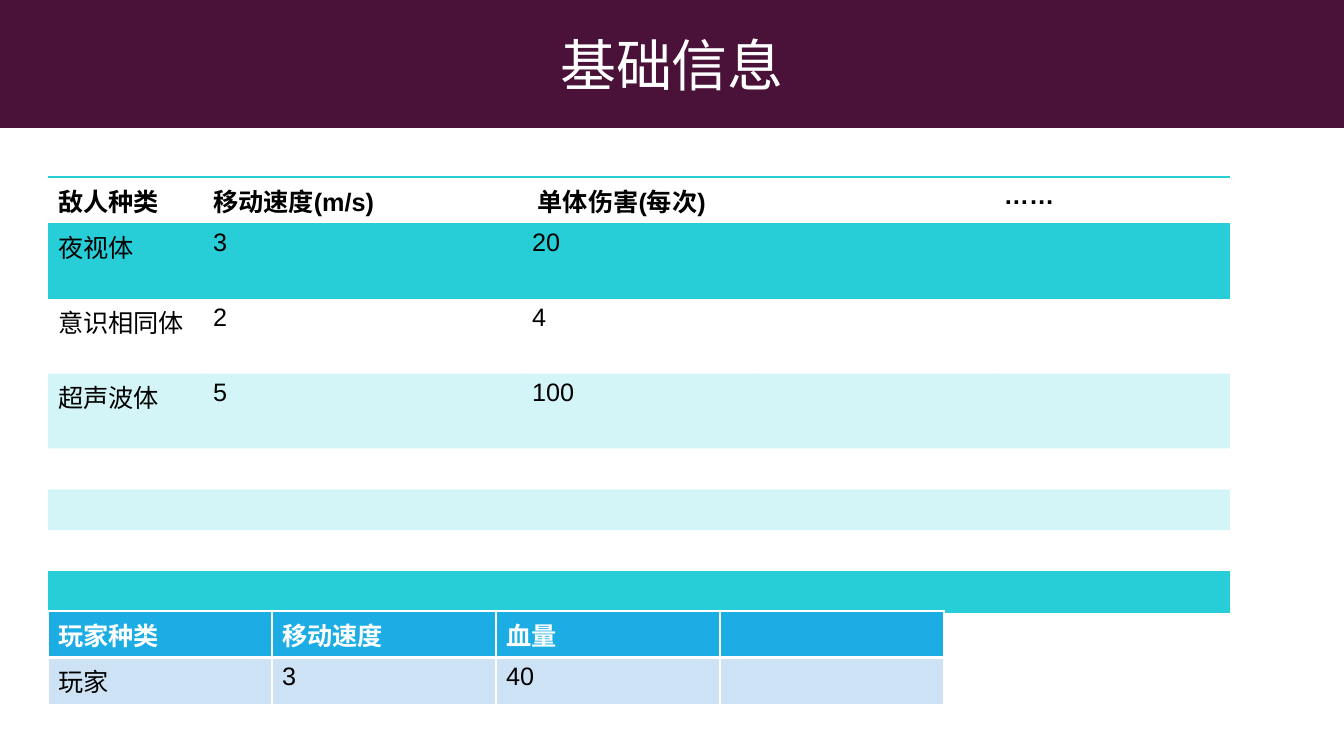
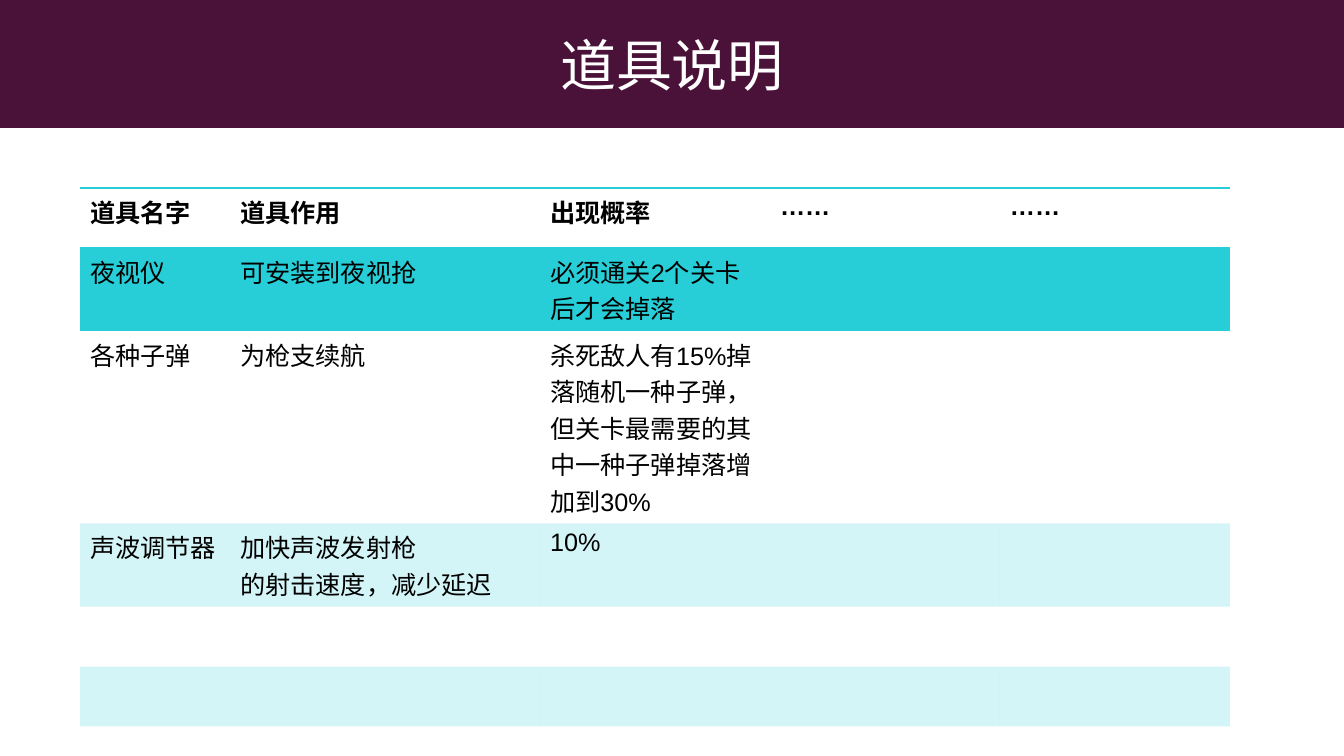
from lxml import etree
from pptx import Presentation
from pptx import util as u
from pptx.dml.color import RGBColor
from pptx.enum import shapes, text
from pptx.oxml import ns

FONT = "Arial"
PLUM, WHITE, BLACK = "4A1239", "FFFFFF", "000000"
TEAL, BLUE, PALE_BLUE = "27CED7", "1CADE4", "CDE3F5"
BAND_OPACITY = 20
SLIDE_W, SLIDE_H, TITLE_H = 1344, 756, 128
NO_STYLE = "{2D5ABB26-0587-4C30-8999-92F81FD0307C}"

SLIDES = [
    {"title": "基础信息", "tables": [
        {"look": "banded", "at": (48, 177),
         "cols": [155, 319, 236, 236, 236],
         "rows": [46, 75, 75, 75, 38, 38, 38, 38],
         "cells": [
             ["敌人种类", "移动速度(m/s)", " 单体伤害(每次)", "", "……"],
             ["夜视体", "3", "20"],
             ["意识相同体", "2", "4"],
             ["超声波体", "5", "100"]]},
        {"look": "grid", "at": (48, 611),
         "cols": [224] * 4,
         "rows": [46, 46],
         "cells": [
             ["玩家种类", "移动速度", "血量"],
             ["玩家", "3", "40"]]},
    ]},
    {"title": "道具说明", "tables": [
        {"look": "banded", "at": (80, 188),
         "cols": [150, 310, 230, 230, 230],
         "rows": [60, 83, 192, 83, 60, 60, 60, 60],
         "cells": [
             ["道具名字", "道具作用", "出现概率", "……", "……"],
             ["夜视仪", "可安装到夜视抢", "必须通关2个关卡后才会掉落"],
             ["各种子弹", "为枪支续航",
              "杀死敌人有15%掉落随机一种子弹，但关卡最需要的其中一种子弹掉落增加到30%"],
             ["声波调节器", "加快声波发射枪\n的射击速度，减少延迟", "10%"]]},
    ]},
]


def px(n):
    return u.Emu(round(n * 914400 / 100.8))


def rgb(color):
    return RGBColor.from_string(color)


def add_run(p, words, size, color, bold=False):
    r = p.add_run()
    r.text = words
    r.font.name, r.font.size, r.font.bold = FONT, u.Pt(size), bold
    r.font.color.rgb = rgb(color)


def add_title(s, words):
    sp = s.shapes.add_shape(shapes.MSO_SHAPE.RECTANGLE, 0, 0, px(SLIDE_W), px(TITLE_H))
    sp.shadow.inherit = False
    sp.fill.solid()
    sp.fill.fore_color.rgb = rgb(PLUM)
    sp.line.fill.background()
    tf = sp.text_frame
    tf.vertical_anchor = text.MSO_ANCHOR.MIDDLE
    p = tf.paragraphs[0]
    p.alignment = text.PP_ALIGN.CENTER
    add_run(p, words, 40, WHITE)


def set_borders(cell, borders):
    """Draw cell borders; borders maps a side (L, R, T, B) to (colour, points)."""
    tc_pr = cell._tc.get_or_add_tcPr()
    for side in "LRTB":
        ln = etree.SubElement(tc_pr, ns.qn(f"a:ln{side}"))
        if side not in borders:
            ln.set("w", "0")
            etree.SubElement(ln, ns.qn("a:noFill"))
            continue
        color, points = borders[side]
        ln.set("w", str(u.Pt(points)))
        solid = etree.SubElement(ln, ns.qn("a:solidFill"))
        etree.SubElement(solid, ns.qn("a:srgbClr"), val=color)


def set_fill(cell, color, opacity=100):
    if color is None:
        cell.fill.background()
        return
    cell.fill.solid()
    cell.fill.fore_color.rgb = rgb(color)
    if opacity < 100:
        clr = cell._tc.tcPr.find(".//" + ns.qn("a:srgbClr"))
        etree.SubElement(clr, ns.qn("a:alpha"), val=str(opacity * 1000))


def banded_look(row, last):
    """Return borders, fill colour, fill opacity and text colour of a row."""
    borders = {}
    if row == 0:
        borders["T"] = (TEAL, 1)
    if row in (0, last):
        borders["B"] = (TEAL, 1)
    if row == 1:
        borders["T"] = (TEAL, 1)
    return borders, TEAL if row % 2 else None, BAND_OPACITY, BLACK


def grid_look(row, last):
    """Return borders, fill colour, fill opacity and text colour of a row."""
    borders = {side: (WHITE, 1) for side in "LRTB"}
    if row == 0:
        borders["B"] = (WHITE, 3)
        return borders, BLUE, 100, WHITE
    if row == 1:
        borders["T"] = (WHITE, 3)
    return borders, PALE_BLUE, 100, BLACK


LOOKS = {"banded": banded_look, "grid": grid_look}


def add_data_table(s, spec_table):
    cols, rows, cells = (spec_table[key] for key in ("cols", "rows", "cells"))
    left, top = spec_table["at"]
    table = s.shapes.add_table(len(rows), len(cols), px(left), px(top),
                               px(sum(cols)), px(sum(rows))).table
    table._tbl.tblPr.find(ns.qn("a:tableStyleId")).text = NO_STYLE
    for column, width in zip(table.columns, cols):
        column.width = px(width)
    for i, height in enumerate(rows):
        table.rows[i].height = px(height)
        borders, fill, opacity, color = LOOKS[spec_table["look"]](i, len(rows) - 1)
        for j in range(len(cols)):
            cell = table.cell(i, j)
            set_borders(cell, borders)
            set_fill(cell, fill, opacity)
            words = cells[i][j] if i < len(cells) and j < len(cells[i]) else ""
            tf = cell.text_frame
            for k, line in enumerate(words.split("\n")):
                p = tf.add_paragraph() if k else tf.paragraphs[0]
                if line:
                    add_run(p, line, 18, color, bold=i == 0)


def main():
    prs = Presentation()
    prs.slide_width, prs.slide_height = px(SLIDE_W), px(SLIDE_H)
    for content in SLIDES:
        s = prs.slides.add_slide(prs.slide_layouts[6])
        add_title(s, content["title"])
        for table in content["tables"]:
            add_data_table(s, table)
    prs.save("out.pptx")


if __name__ == "__main__":
    main()
